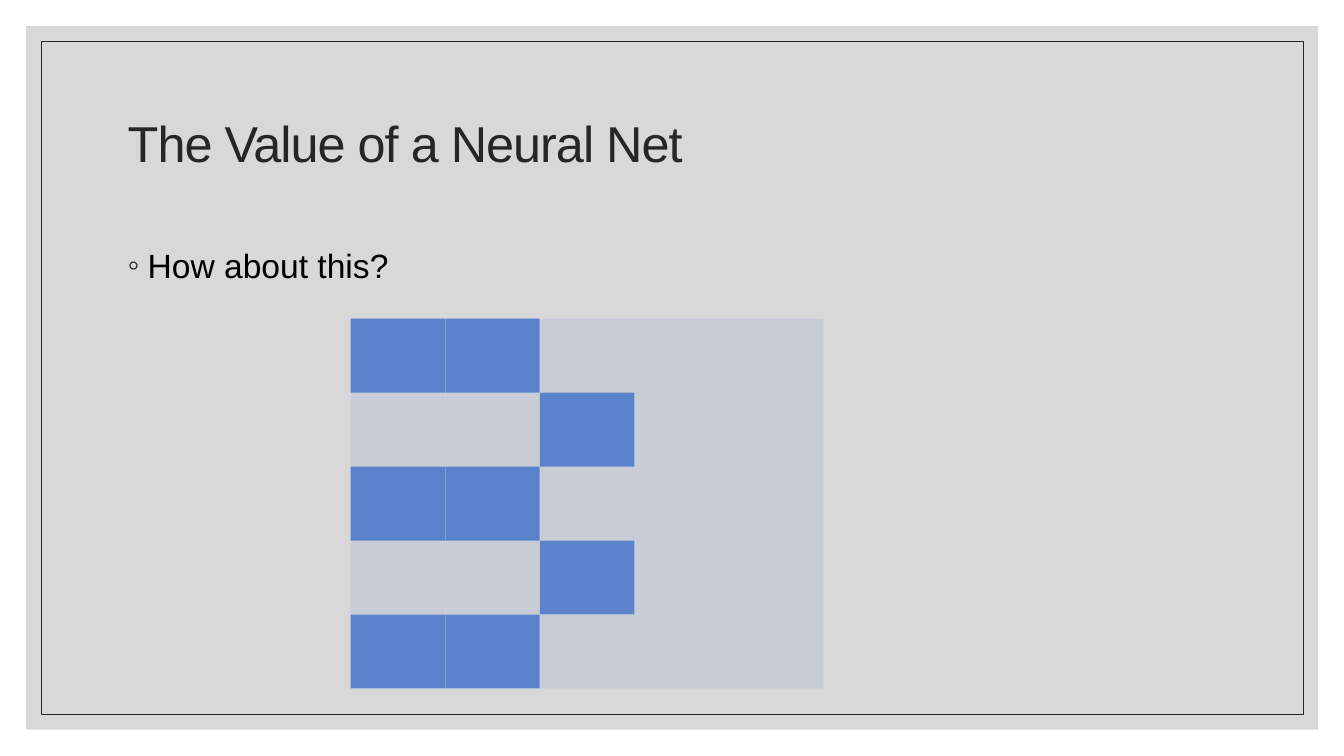
from lxml.etree import SubElement
from pptx import Presentation
from pptx.dml.color import RGBColor
from pptx.enum.shapes import MSO_SHAPE
from pptx.enum.text import MSO_ANCHOR
from pptx.oxml.ns import qn
from pptx.util import Cm, Pt

COLORS = {
    "panel": "BFBFBF",
    "ink": "262626",
    "body": "000000",
    "cell": "5A82CB",
}
FONT = "Arial"
PIXEL_OPACITY = {"#": 100, "+": 98, ".": 13}
PIXEL_ROWS = ["##...", "..#..", "##...", "..+..", "##..."]
GRID_LEFT, GRID_TOP = 8.84, 8.03
GRID_WIDTH, GRID_HEIGHT = 11.91, 9.32


def color(name):
    return RGBColor.from_string(COLORS[name])


def add_rectangle(shapes, left, top, width, height, fill=None, opacity=100, line=None):
    shape = shapes.add_shape(
        MSO_SHAPE.RECTANGLE, Cm(left), Cm(top), Cm(width), Cm(height)
    )
    shape.shadow.inherit = False
    if fill:
        shape.fill.solid()
        shape.fill.fore_color.rgb = color(fill)
        if opacity < 100:
            fill_color = shape.fill._xPr.find(qn("a:solidFill"))[0]
            SubElement(fill_color, qn("a:alpha"), val=str(opacity * 1000))
    else:
        shape.fill.background()
    if line:
        shape.line.color.rgb = color(line)
        shape.line.width = Pt(0.5)
    else:
        shape.line.fill.background()


def add_text(page, text, top, height, size, ink, spacing, anchor):
    box = page.shapes.add_textbox(Cm(2.97), Cm(top), Cm(27.94), Cm(height))
    frame = box.text_frame
    frame.word_wrap = True
    frame.vertical_anchor = anchor
    para = frame.paragraphs[0]
    para.text = text
    para.line_spacing = spacing
    return para, size, ink


def style_paragraph(para, size, ink):
    para.font.name = FONT
    para.font.size = Pt(size)
    para.font.color.rgb = color(ink)


def add_title(page, text):
    para, size, ink = add_text(page, text, 1.78, 3.81, 36, "ink", 0.9, MSO_ANCHOR.MIDDLE)
    style_paragraph(para, size, ink)
    para.runs[0].font._element.set("spc", "-70")


def add_bullet(page, text):
    para, size, ink = add_text(page, text, 5.84, 10.69, 24, "body", 1.2, MSO_ANCHOR.TOP)
    properties = para._p.get_or_add_pPr()
    properties.set("marL", str(Cm(0.5)))
    properties.set("indent", str(-Cm(0.5)))
    bullet_color = SubElement(properties, qn("a:buClr"))
    SubElement(bullet_color, qn("a:srgbClr"), val=COLORS["ink"])
    SubElement(properties, qn("a:buFont"), typeface=FONT)
    SubElement(properties, qn("a:buChar"), char="◦")
    style_paragraph(para, size, ink)


def add_pixel_grid(page):
    group = page.shapes.add_group_shape()
    cell_height = GRID_HEIGHT / len(PIXEL_ROWS)
    for row, pixels in enumerate(PIXEL_ROWS):
        cell_width = GRID_WIDTH / len(pixels)
        for column, pixel in enumerate(pixels):
            add_rectangle(
                group.shapes,
                GRID_LEFT + column * cell_width,
                GRID_TOP + row * cell_height,
                cell_width,
                cell_height,
                fill="cell",
                opacity=PIXEL_OPACITY[pixel],
            )


def main():
    deck = Presentation()
    deck.slide_width = Cm(33.87)
    deck.slide_height = Cm(19.05)
    page = deck.slides.add_slide(deck.slide_layouts[6])
    add_rectangle(page.shapes, 0.66, 0.66, 32.56, 17.73, fill="panel", opacity=60)
    add_rectangle(page.shapes, 1.04, 1.04, 31.8, 16.97, line="ink")
    add_title(page, "The Value of a Neural Net")
    add_bullet(page, "How about this?")
    add_pixel_grid(page)
    deck.save("out.pptx")


if __name__ == "__main__":
    main()
